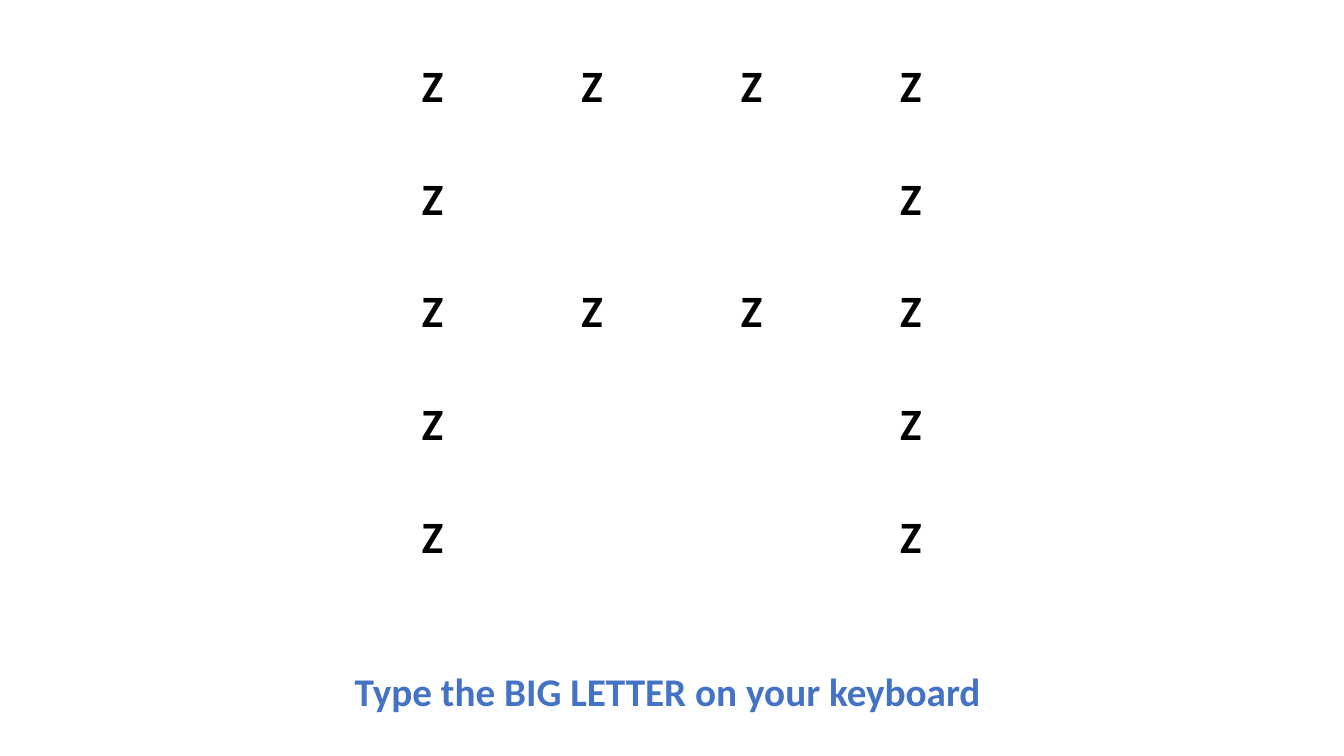
from pptx import Presentation
from pptx.dml.color import RGBColor
from pptx.enum.text import MSO_ANCHOR, PP_ALIGN
from pptx.util import Cm, Pt

BLACK = RGBColor(0x00, 0x00, 0x00)
BLUE = RGBColor(0x44, 0x72, 0xC4)
FONT = "Calibri"
SMALL_LETTER = "Z"
BIG_LETTER = [
    "####",
    "#..#",
    "####",
    "#..#",
    "#..#",
]


def add_bold_run(paragraph, text, size, color):
    """Add one bold run to the paragraph."""
    run = paragraph.add_run()
    run.text = text
    run.font.name = FONT
    run.font.size = Pt(size)
    run.font.bold = True
    run.font.color.rgb = color


def add_big_letter(slide, left, top, width, height):
    """Draw the big letter as a grid of small letters."""
    grid = slide.shapes.add_table(
        len(BIG_LETTER), len(BIG_LETTER[0]), left, top, width, height
    ).table
    grid.first_row = False
    grid.horz_banding = False
    for row, pattern in enumerate(BIG_LETTER):
        for column, mark in enumerate(pattern):
            cell = grid.cell(row, column)
            cell.fill.background()
            cell.margin_left = cell.margin_right = Cm(0.18)
            cell.margin_top = cell.margin_bottom = 0
            cell.vertical_anchor = MSO_ANCHOR.TOP
            if mark == "#":
                paragraph = cell.text_frame.paragraphs[0]
                paragraph.alignment = PP_ALIGN.CENTER
                paragraph.line_spacing = 1.07
                add_bold_run(paragraph, SMALL_LETTER, 32, BLACK)


def add_instruction(slide, left, top, width, height):
    """Place the instruction below the big letter."""
    instruction = slide.shapes.add_textbox(left, top, width, height).text_frame
    instruction.word_wrap = False
    add_bold_run(
        instruction.paragraphs[0], "Type the BIG LETTER on your keyboard", 28, BLUE
    )


def main():
    """Build and save the slide."""
    presentation = Presentation()
    presentation.slide_width = Cm(33.87)
    presentation.slide_height = Cm(19.05)
    slide = presentation.slides.add_slide(presentation.slide_layouts[6])
    add_big_letter(slide, Cm(8.89), Cm(1.42), Cm(16.08), Cm(14.18))
    add_instruction(slide, Cm(8.69), Cm(16.69), Cm(16.46), Cm(1.45))
    presentation.save("out.pptx")


if __name__ == "__main__":
    main()
